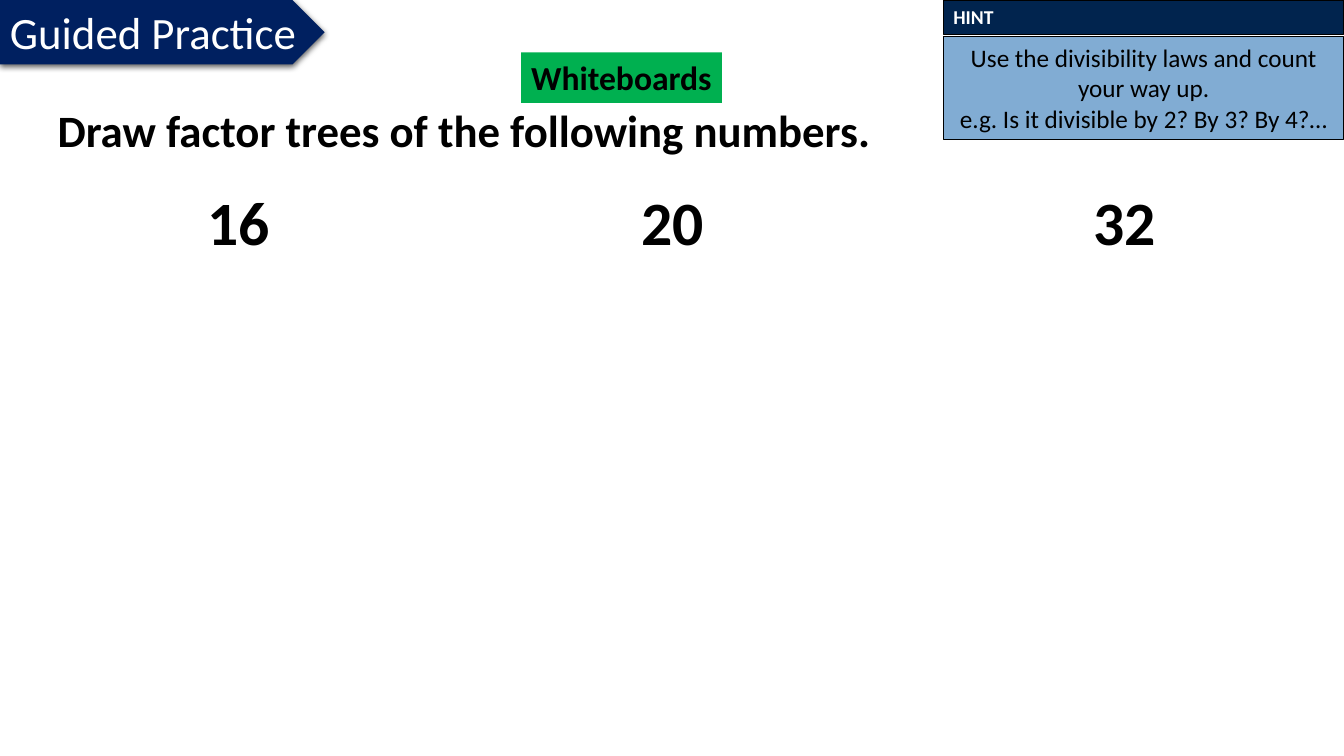
"""Build a guided practice slide on factor trees."""
from dataclasses import dataclass

import lxml.etree
import pptx
import pptx.dml.color
import pptx.enum.shapes
import pptx.enum.text
import pptx.oxml.ns
import pptx.util

FORM = pptx.enum.shapes.MSO_SHAPE
ALIGN = pptx.enum.text.PP_ALIGN
ANCHOR = pptx.enum.text.MSO_ANCHOR
qn = pptx.oxml.ns.qn


@dataclass(frozen=True)
class Theme:
    """Hold the font, colours and type sizes."""
    font: str = "Calibri"
    black: str = "000000"
    white: str = "FFFFFF"
    navy: str = "002060"
    ink: str = "01244E"
    blue: str = "2E75B6"
    green: str = "00B050"
    label: int = 14
    body: int = 18
    badge: int = 24
    head: int = 32
    figure: int = 44


THEME = Theme()


@dataclass(frozen=True)
class Area:
    """Hold a place in percent of the slide's width and height."""
    left: float
    top: float
    width: float
    height: float


@dataclass(frozen=True)
class Style:
    """Describe how a text looks."""
    size: int
    bold: bool = True
    colour: str = THEME.black
    align: ALIGN = ALIGN.LEFT
    anchor: ANCHOR = ANCHOR.TOP
    wrap: bool = True


@dataclass(frozen=True)
class Panel:
    """Describe a filled shape with text."""
    text: str
    area: Area
    style: Style
    fill: str
    form: FORM = FORM.RECTANGLE
    edge: bool = False
    alpha: int = 100
    shade: bool = False


@dataclass(frozen=True)
class Task:
    """Describe one number to factor."""
    text: str
    left: float
    width: float


HINT_LEFT, HINT_WIDTH = 70.2, 29.8
TASK_TOP, TASK_HEIGHT = 23.73, 11.2
HEAD_AREA = Area(3.53, 13.73, 82.88, 8.53)

TASKS = (
    Task("16", 12.83, 9.83),
    Task("20", 43.58, 12.9),
    Task("32", 79.58, 8.25),
)

PANELS = (
    Panel("Guided Practice", Area(0, 0, 24.15, 8.53),
          Style(THEME.head, bold=False, colour=THEME.white, wrap=False),
          THEME.navy, FORM.PENTAGON, shade=True),
    Panel("HINT", Area(HINT_LEFT, 0, HINT_WIDTH, 4.53),
          Style(THEME.label, colour=THEME.white), THEME.ink, edge=True),
    Panel("Use the divisibility laws and count your way up.\n"
          "e.g. Is it divisible by 2? By 3? By 4?…",
          Area(HINT_LEFT, 4.8, HINT_WIDTH, 13.6),
          Style(THEME.body, bold=False, align=ALIGN.CENTER, anchor=ANCHOR.MIDDLE),
          THEME.blue, edge=True, alpha=60),
    Panel("Whiteboards", Area(38.78, 6.93, 14.93, 6.67),
          Style(THEME.badge), THEME.green),
)

deck = pptx.Presentation()
deck.slide_width = pptx.util.Inches(13.33)
deck.slide_height = pptx.util.Inches(7.5)


def place(area: Area) -> tuple[int, int, int, int]:
    """Turn shares of the slide into lengths."""
    wide, high = deck.slide_width / 100, deck.slide_height / 100
    return (round(area.left * wide), round(area.top * high),
            round(area.width * wide), round(area.height * high))


def paint(colour: str) -> pptx.dml.color.RGBColor:
    """Return a colour object."""
    return pptx.dml.color.RGBColor.from_string(colour)


def write(shape, text: str, style: Style) -> None:
    """Set and format the text of a shape."""
    frame = shape.text_frame
    frame.text = text
    frame.auto_size = pptx.enum.text.MSO_AUTO_SIZE.NONE
    frame.word_wrap = style.wrap
    frame.vertical_anchor = style.anchor
    for line in frame.paragraphs:
        line.alignment = style.align
        for run in line.runs:
            run.font.name = THEME.font
            run.font.size = pptx.util.Pt(style.size)
            run.font.bold = style.bold
            run.font.color.rgb = paint(style.colour)


def fade(node, share: int) -> None:
    """Give a colour node its opacity in percent."""
    lxml.etree.SubElement(node, qn("a:alpha"), val=str(share * 1000))


def cast(shape) -> None:
    """Add a soft shadow below a shape."""
    effects = shape._element.spPr.find(qn("a:effectLst"))
    outer = lxml.etree.SubElement(
        effects, qn("a:outerShdw"), blurRad=str(pptx.util.Pt(4.5)),
        dist=str(pptx.util.Pt(1.5)), dir="5400000", algn="ctr", rotWithShape="0")
    fade(lxml.etree.SubElement(outer, qn("a:srgbClr"), val=THEME.black), 63)


def draw(slide, panel: Panel) -> None:
    """Draw one filled panel."""
    shape = slide.shapes.add_shape(panel.form, *place(panel.area))
    shape.fill.solid()
    shape.fill.fore_color.rgb = paint(panel.fill)
    if panel.alpha < 100:
        fade(shape._element.spPr.find(f".//{qn('a:srgbClr')}"), panel.alpha)
    if panel.edge:
        shape.line.color.rgb = paint(THEME.black)
        shape.line.width = pptx.util.Pt(0.75)
    else:
        shape.line.fill.background()
    shape.shadow.inherit = False
    if panel.shade:
        cast(shape)
    write(shape, panel.text, panel.style)


def build() -> None:
    """Build and save the slide."""
    slide = deck.slides.add_slide(deck.slide_layouts[5])
    title = slide.shapes.title
    title.left, title.top, title.width, title.height = place(HEAD_AREA)
    write(title, "Draw factor trees of the following numbers.", Style(THEME.head))
    title.text_frame.paragraphs[0].line_spacing = 0.9
    for task in TASKS:
        area = Area(task.left, TASK_TOP, task.width, TASK_HEIGHT)
        box = slide.shapes.add_textbox(*place(area))
        write(box, task.text, Style(THEME.figure, align=ALIGN.CENTER))
    for panel in PANELS:
        draw(slide, panel)
    deck.save("out.pptx")


if __name__ == "__main__":
    build()
